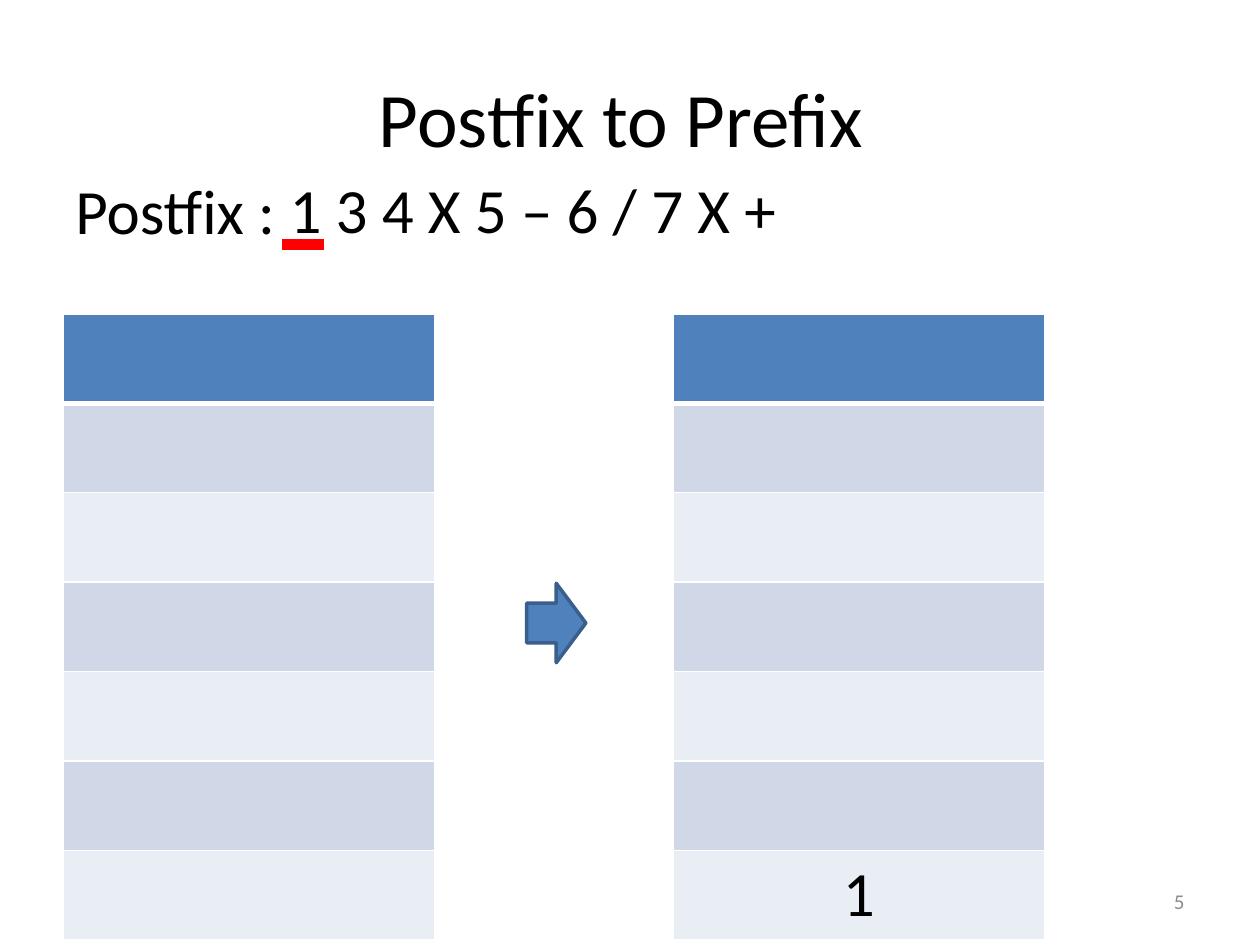
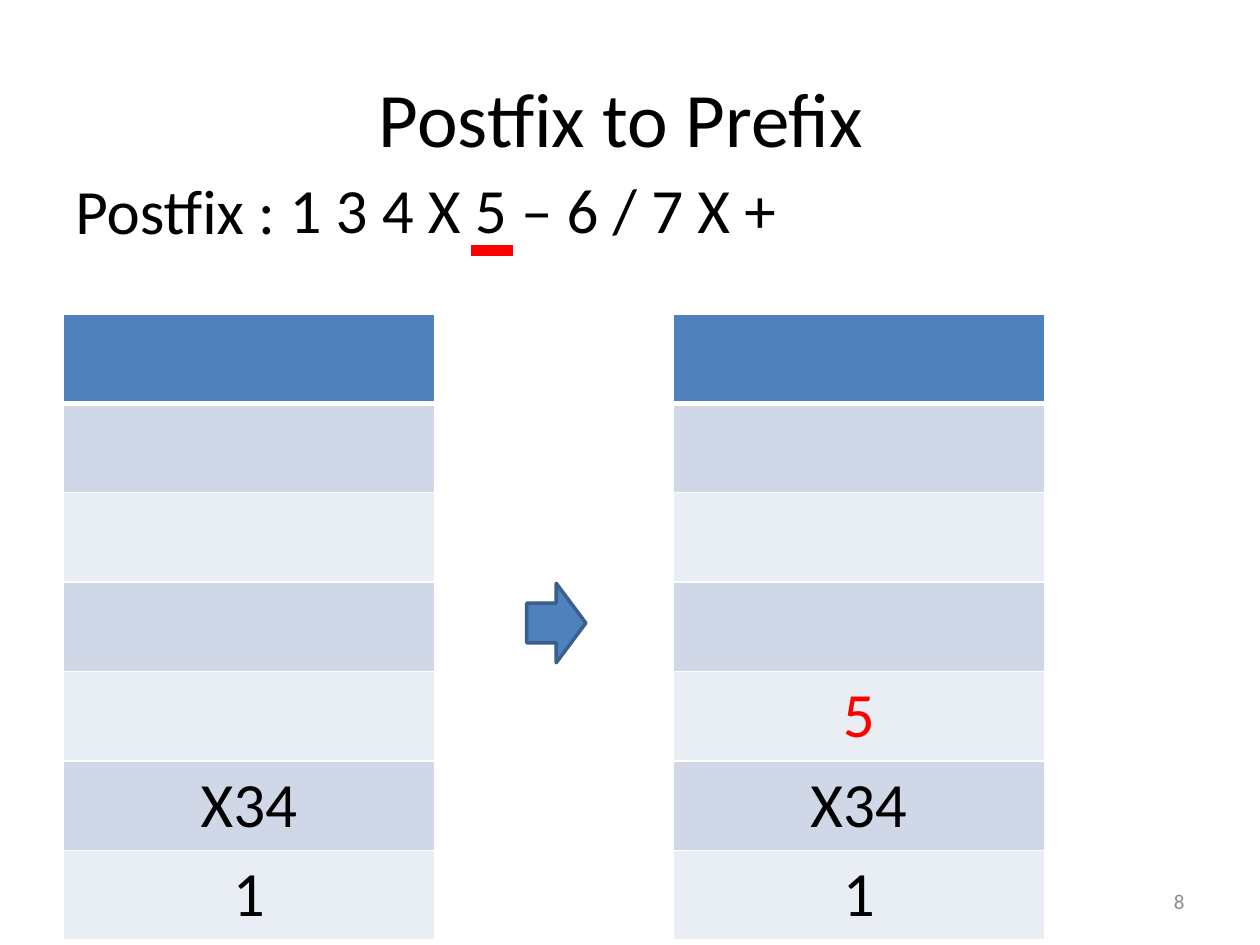
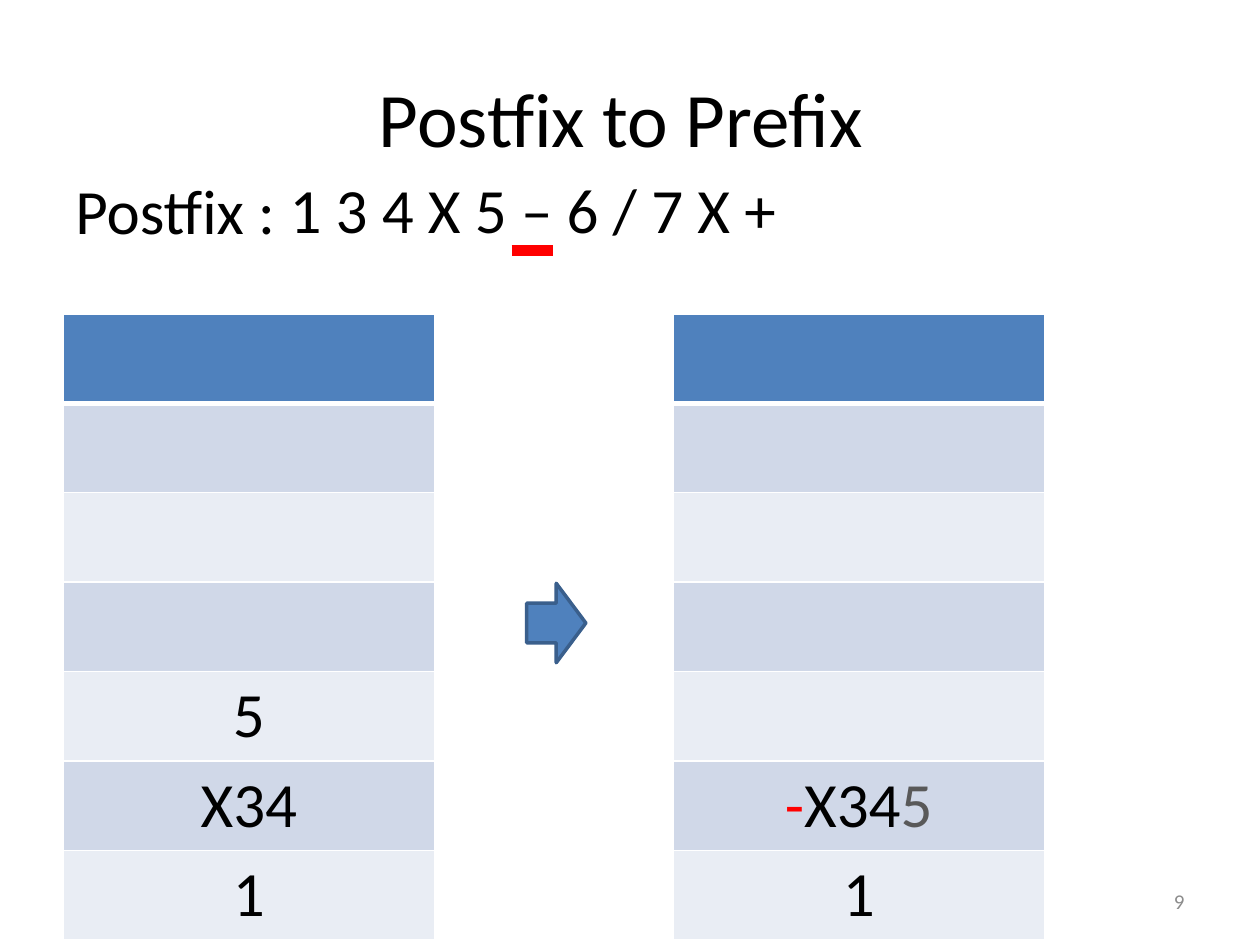
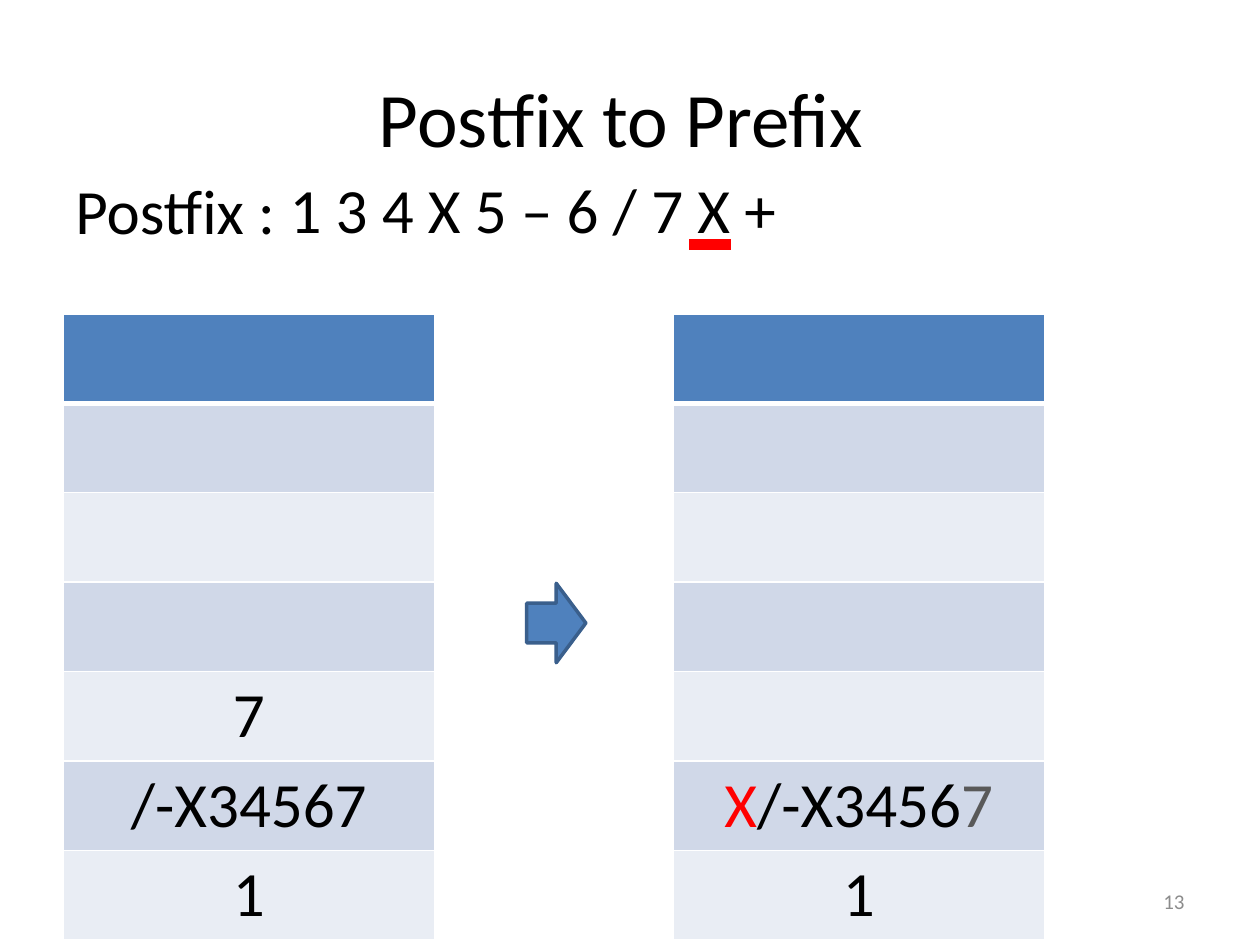
"""Build the slides that step through a postfix to prefix conversion."""
from dataclasses import dataclass

from lxml import etree
from pptx import Presentation, util as u
from pptx.dml.color import RGBColor
from pptx.enum import shapes, text
from pptx.oxml.ns import qn


@dataclass(frozen=True)
class Theme:
    """Colours, type sizes and font of the deck."""
    font: str = "Calibri"
    ink: str = "000000"
    red: str = "FF0000"
    dim: str = "595959"
    grey: str = "8C8C8C"
    head: str = "4F81BD"
    edge: str = "3A5F8C"
    bands: tuple = ("E9EDF4", "D0D8E8")
    rule: str = "FFFFFF"
    title: int = 44
    body: int = 36
    foot: int = 12


T = Theme()
WIDE, HIGH = u.Inches(10), u.Inches(7.5)
COLS, ROWS = 100, 75
LEVELS = 7
LEFT, RIGHT = text.PP_ALIGN.LEFT, text.PP_ALIGN.RIGHT
MID = text.PP_ALIGN.CENTER

STEPS = [
    dict(num=5, mark=(22.4, 19.4), old=[], new=["1"]),
    dict(num=8, mark=(37.4, 19.9), old=["1", "X34"],
         new=["1", "X34", [("5", T.red)]]),
    dict(num=9, mark=(40.6, 19.9), old=["1", "X34", "5"],
         new=["1", [("-", T.red), ("X34", T.ink), ("5", T.dim)]]),
    dict(num=13, mark=(54.7, 19.4), old=["1", "/-X34567", "7"],
         new=["1", [("X", T.red), ("/-X3456", T.ink), ("7", T.dim)]]),
]


def grid(x, y, *size):
    """Turn grid columns and rows into slide lengths."""
    units = (WIDE / COLS, HIGH / ROWS) * 2
    return [round(n * unit) for n, unit in zip((x, y, *size), units)]


def style(item, **values):
    """Set each named attribute of an item."""
    for name, value in values.items():
        setattr(item, name, value)


def paint(fill, tint):
    """Give a fill one solid colour."""
    fill.solid()
    fill.fore_color.rgb = RGBColor.from_string(tint)


def write(frame, runs, size, align=LEFT):
    """Write coloured runs as the one paragraph of a text frame."""
    para = frame.paragraphs[0]
    para.alignment = align
    for words, tint in runs:
        run = para.add_run()
        run.text = words
        style(run.font, name=T.font, size=u.Pt(size))
        run.font.color.rgb = RGBColor.from_string(tint)


def label(slide, area, words, size, tint=T.ink, align=LEFT,
          anchor=text.MSO_ANCHOR.TOP):
    """Add a text box."""
    frame = slide.shapes.add_textbox(*grid(*area)).text_frame
    style(frame, word_wrap=True, vertical_anchor=anchor)
    write(frame, [(words, tint)], size, align)


def mark(slide, x, y):
    """Underline the symbol being read."""
    start, end = grid(x, y), grid(x + 3.3, y)
    line = slide.shapes.add_connector(
        shapes.MSO_CONNECTOR.STRAIGHT, *start, *end)
    line.line.width = u.Pt(6)
    paint(line.line.fill, T.red)
    etree.SubElement(line._element.spPr, qn("a:effectLst"))


def arrow(slide, area):
    """Add the block arrow between the two stacks."""
    shape = slide.shapes.add_shape(
        shapes.MSO_SHAPE.RIGHT_ARROW, *grid(*area))
    shape.shadow.inherit = False
    paint(shape.fill, T.head)
    paint(shape.line.fill, T.edge)
    shape.line.width = u.Pt(2)


def border(cell, base):
    """Rule all four sides of a cell, with its own base weight."""
    props = cell._tc.get_or_add_tcPr()
    for side, weight in dict(lnL=1, lnR=1, lnT=1, lnB=base).items():
        line = etree.SubElement(props, qn("a:" + side), w=str(u.Pt(weight)))
        fill = etree.SubElement(line, qn("a:solidFill"))
        etree.SubElement(fill, qn("a:srgbClr"), val=T.rule)


def stack(slide, x, items):
    """Draw a stack as a one-column table, filled from the bottom."""
    area = grid(x, 24.9, 29.5, 7.1 * LEVELS)
    table = slide.shapes.add_table(LEVELS, 1, *area).table
    for row in range(LEVELS):
        cell = table.cell(row, 0)
        border(cell, 1 if row else 3)
        paint(cell.fill, T.bands[row % 2] if row else T.head)
    for depth, item in enumerate(items, 1):
        runs = [(item, T.ink)] if isinstance(item, str) else item
        cell = table.cell(LEVELS - depth, 0)
        write(cell.text_frame, runs, T.body, MID)


def step(deck, num, mark_at, old, new):
    """Add the slide for one step."""
    slide = deck.slides.add_slide(deck.slide_layouts[6])
    mid = text.MSO_ANCHOR.MIDDLE
    label(slide, (22, 13, 62.9, 7.1), "1 3 4 X 5 – 6 / 7 X +", T.body)
    label(slide, (5, 13.1, 36.7, 7.1), "Postfix :", T.body)
    label(slide, (5, 3, 90, 12.5), "Postfix to Prefix ", T.title,
          align=MID, anchor=mid)
    mark(slide, *mark_at)
    stack(slide, 5, old)
    arrow(slide, (41.8, 46.3, 4.7, 6.3))
    stack(slide, 53.4, new)
    label(slide, (71.7, 69.5, 23.3, 4), str(num), T.foot, T.grey, RIGHT, mid)


def main():
    """Build and save the deck."""
    deck = Presentation()
    style(deck, slide_width=WIDE, slide_height=HIGH)
    for data in STEPS:
        step(deck, data["num"], data["mark"], data["old"], data["new"])
    deck.save("out.pptx")


main()
